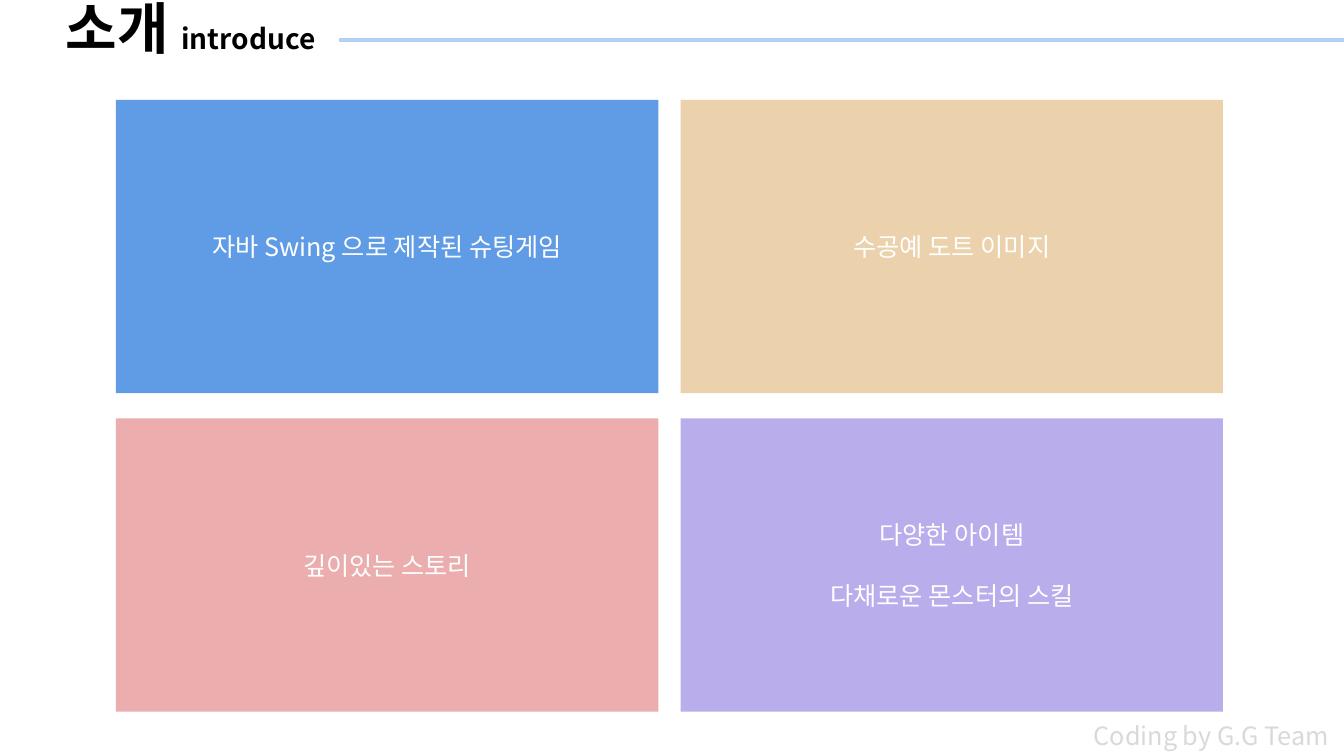
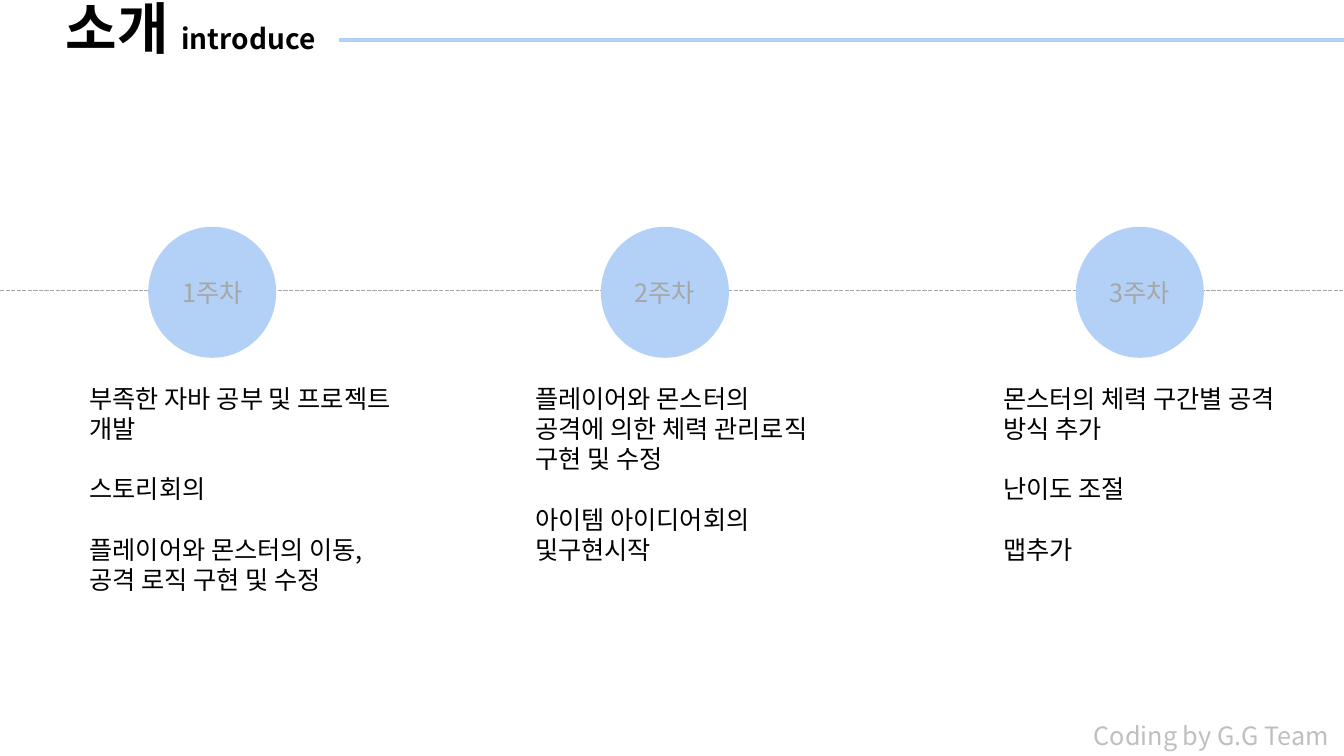
"""Builds the two introduction slides of a shooting game project."""
from dataclasses import dataclass

from lxml.etree import SubElement
from pptx import Presentation
from pptx.dml.color import RGBColor
from pptx.enum.dml import MSO_LINE
from pptx.enum.shapes import MSO_CONNECTOR, MSO_SHAPE
from pptx.enum.text import MSO_ANCHOR, PP_ALIGN
from pptx.oxml.ns import qn
from pptx.presentation import Presentation as Deck
from pptx.slide import Slide
from pptx.text.text import Font, TextFrame
from pptx.util import Inches, Pt


@dataclass(frozen=True)
class Theme:
    font: str = "Noto Sans CJK KR"
    title_size: int = 40
    subtitle_size: int = 20
    body_size: int = 18
    leading: float = 1.2
    black: str = "000000"
    white: str = "FFFFFF"
    sky: str = "B3D1F6"
    blue: str = "609CE5"
    sand: str = "EBD2AD"
    pink: str = "EBADAD"
    violet: str = "BAADEB"
    gray: str = "A6A6A6"
    footer_light: str = "D9D9D9"
    footer_dark: str = "BFBFBF"


@dataclass(frozen=True)
class Feature:
    lines: tuple[str, ...]
    fill: str


@dataclass(frozen=True)
class Week:
    label: str
    circle_left: float
    text_left: float
    text_width: float
    tasks: tuple[str, ...]


THEME = Theme()
SLIDE_WIDTH = 13.33
SLIDE_HEIGHT = 7.5

FEATURES = (
    Feature(("자바 Swing 으로 제작된 슈팅게임",), THEME.blue),
    Feature(("수공예 도트 이미지",), THEME.sand),
    Feature(("깊이있는 스토리",), THEME.pink),
    Feature(("다양한 아이템", "다채로운 몬스터의 스킬"), THEME.violet),
)

WEEKS = (
    Week("1주차", 1.47, 0.79, 3.28, (
        "부족한 자바 공부 및 프로젝트 개발",
        "스토리회의",
        "플레이어와 몬스터의 이동, 공격 로직 구현 및 수정",
    )),
    Week("2주차", 5.96, 5.21, 2.91, (
        "플레이어와 몬스터의 공격에 의한 체력 관리로직 구현 및 수정",
        "아이템 아이디어회의 및구현시작",
    )),
    Week("3주차", 10.67, 9.85, 2.91, (
        "몬스터의 체력 구간별 공격 방식 추가",
        "난이도 조절",
        "맵추가",
    )),
)


def set_font(font: Font, size: int, color: str, bold: bool = False) -> None:
    """Apply the theme typeface to Latin and Korean text."""
    font.size = Pt(size)
    font.bold = bold
    font.color.rgb = RGBColor.from_string(color)
    font.name = THEME.font
    SubElement(font._rPr, qn("a:ea"), typeface=THEME.font)


def write_lines(tf: TextFrame, lines: tuple[str, ...], color: str,
                align: PP_ALIGN = PP_ALIGN.LEFT) -> None:
    """Write paragraphs set one line apart."""
    leading = Pt(THEME.body_size * THEME.leading)
    for i, line in enumerate(lines):
        p = tf.add_paragraph() if i else tf.paragraphs[0]
        p.text = line
        p.alignment = align
        p.line_spacing = leading
        if i:
            p.space_before = leading
        set_font(p.font, THEME.body_size, color)


def add_text(s: Slide, left: float, top: float, width: float, height: float,
             lines: tuple[str, ...], color: str) -> None:
    """Add a wrapping text box."""
    sp = s.shapes.add_textbox(Inches(left), Inches(top), Inches(width), Inches(height))
    sp.text_frame.word_wrap = True
    write_lines(sp.text_frame, lines, color)


def add_panel(s: Slide, kind: MSO_SHAPE, left: float, top: float, width: float,
              height: float, fill: str, lines: tuple[str, ...], color: str) -> None:
    """Add a filled shape with centred text."""
    sp = s.shapes.add_shape(kind, Inches(left), Inches(top), Inches(width), Inches(height))
    sp.shadow.inherit = False
    sp.fill.solid()
    sp.fill.fore_color.rgb = RGBColor.from_string(fill)
    sp.line.fill.background()
    tf = sp.text_frame
    tf.word_wrap = False
    tf.vertical_anchor = MSO_ANCHOR.MIDDLE
    write_lines(tf, lines, color, PP_ALIGN.CENTER)


def add_rule(s: Slide, left: float, top: float, color: str, weight: float,
             dash: MSO_LINE | None = None) -> None:
    """Draw a horizontal line to the right edge of the slide."""
    line = s.shapes.add_connector(MSO_CONNECTOR.STRAIGHT, Inches(left), Inches(top),
                                  Inches(SLIDE_WIDTH), Inches(top))
    line.line.color.rgb = RGBColor.from_string(color)
    line.line.width = Pt(weight)
    if dash is not None:
        line.line.dash_style = dash
    SubElement(line._element.spPr, qn("a:effectLst"))


def add_base(prs: Deck, footer_color: str) -> Slide:
    """Add a slide with the shared title, rule and footer."""
    s = prs.slides.add_slide(prs.slide_layouts[5])
    title = s.shapes.title
    title.left, title.top = Inches(0.08), Inches(-0.11)
    title.width, title.height = Inches(3.62), Inches(0.77)
    tf = title.text_frame
    tf.word_wrap = True
    tf.vertical_anchor = MSO_ANCHOR.TOP
    p = tf.paragraphs[0]
    p.alignment = PP_ALIGN.CENTER
    p.line_spacing = Pt(THEME.title_size * THEME.leading)
    set_font(p.font, THEME.title_size, THEME.black, True)
    for text, size in (("소개 ", THEME.title_size), ("introduce", THEME.subtitle_size)):
        r = p.add_run()
        r.text = text
        r.font.size = Pt(size)
    add_rule(s, 3.36, 0.4, THEME.sky, 3)
    add_text(s, 10.75, 7.1, 2.58, 0.4, ("Coding by G.G Team",), footer_color)
    return s


def add_features(prs: Deck) -> None:
    """Build the two-by-two grid of game features."""
    s = add_base(prs, THEME.footer_light)
    width, height, gap_x, gap_y = 5.38, 2.91, 0.22, 0.25
    for i, feature in enumerate(FEATURES):
        row, col = divmod(i, 2)
        add_panel(s, MSO_SHAPE.RECTANGLE, 1.15 + col * (width + gap_x),
                  0.99 + row * (height + gap_y), width, height,
                  feature.fill, feature.lines, THEME.white)


def add_schedule(prs: Deck) -> None:
    """Build the three-week timeline."""
    s = add_base(prs, THEME.footer_dark)
    add_rule(s, 0, 2.88, THEME.gray, 1, MSO_LINE.SQUARE_DOT)
    for week in WEEKS:
        add_panel(s, MSO_SHAPE.OVAL, week.circle_left, 2.25, 1.27, 1.3,
                  THEME.sky, (week.label,), THEME.gray)
        add_text(s, week.text_left, 3.75, week.text_width, 2.5, week.tasks, THEME.black)


def main() -> None:
    """Create and save the presentation."""
    prs = Presentation()
    prs.slide_width = Inches(SLIDE_WIDTH)
    prs.slide_height = Inches(SLIDE_HEIGHT)
    add_features(prs)
    add_schedule(prs)
    prs.save("out.pptx")


if __name__ == "__main__":
    main()
